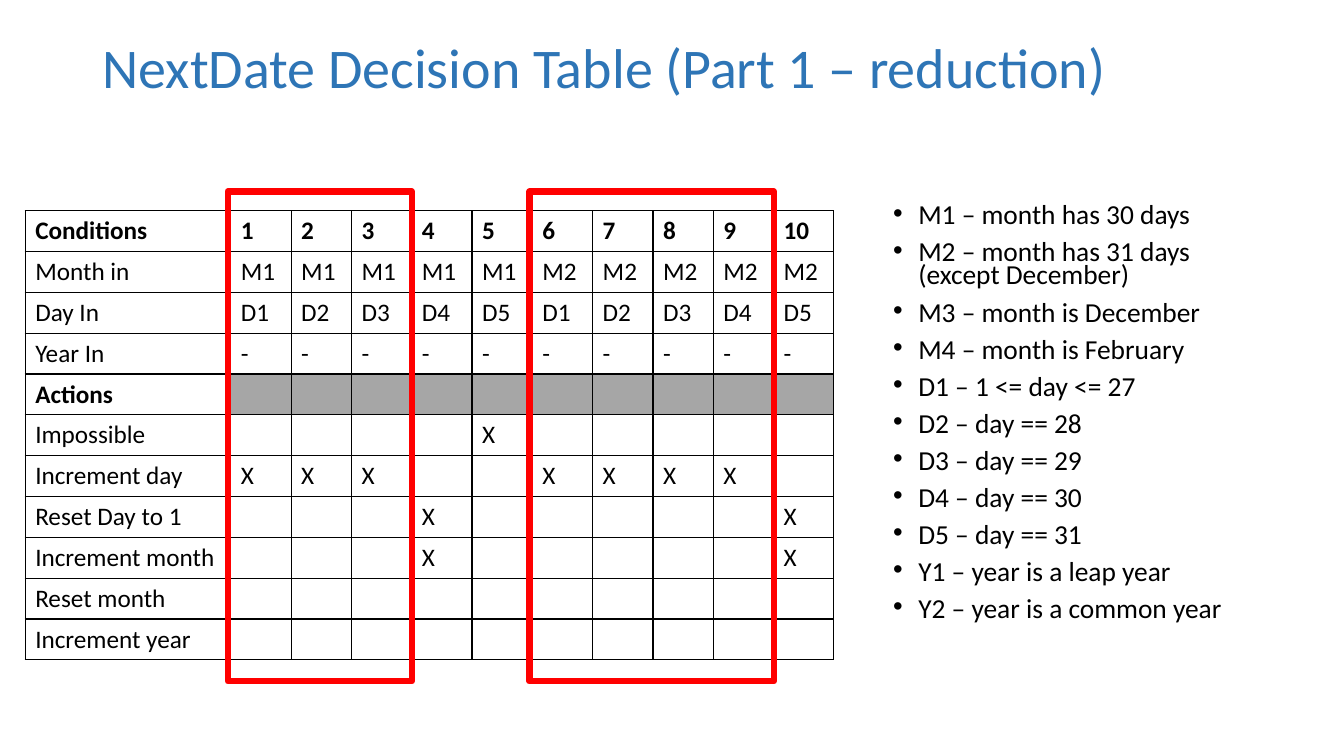
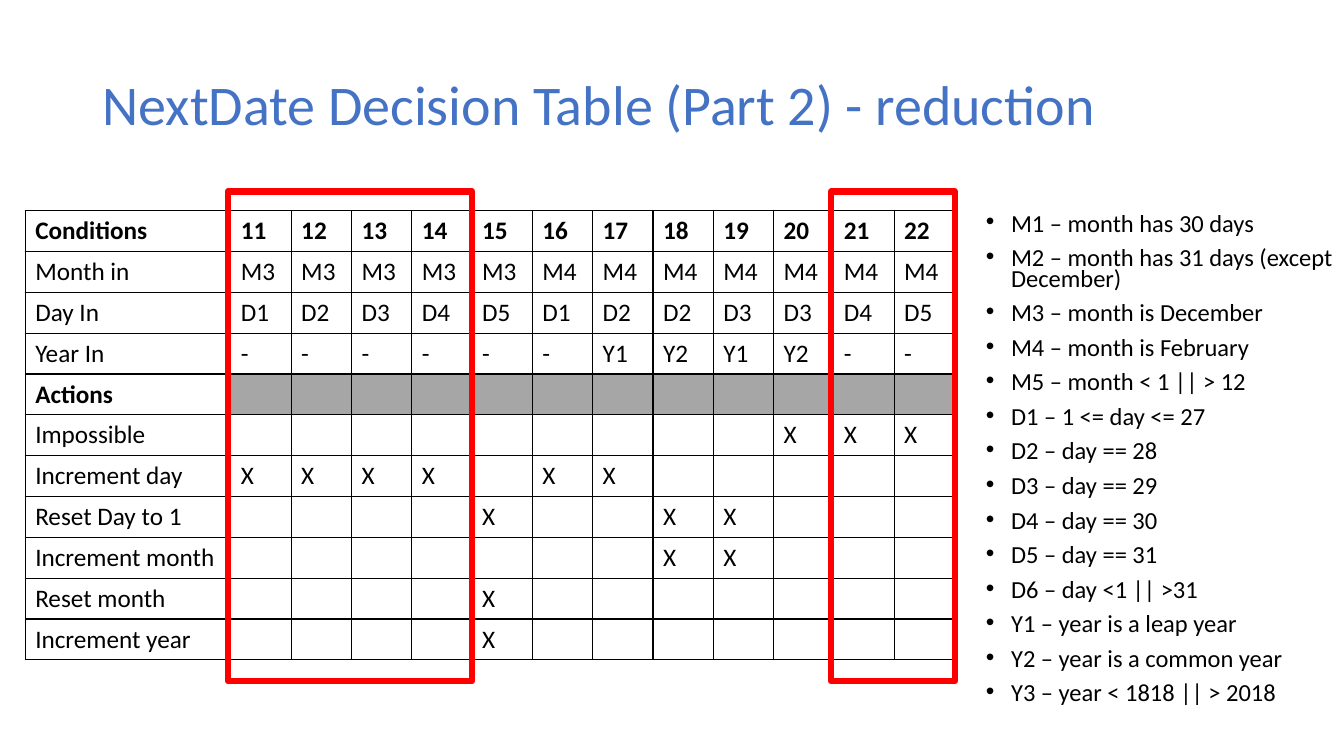
from lxml.etree import SubElement
from pptx import Presentation
from pptx.dml.color import RGBColor
from pptx.enum.shapes import MSO_SHAPE as SHAPE
from pptx.enum.text import MSO_ANCHOR as ANCHOR
from pptx.oxml.ns import qn
from pptx.util import Inches, Pt

BLACK, GREY, RED = "000000", "A6A6A6", "FF0000"
FONT = "Calibri"
LABEL_W, COL_W, ROW_H = 2.04, 7.18 / 12, 4.46 / 11
TABLE_X, TABLE_Y = 0.25, 2.09
ACTIONS = ["Impossible", "Increment day", "Reset Day to 1",
           "Increment month", "Reset month", "Increment year"]
MONTHS = ["M1 – month has 30 days", "M2 – month has 31 days (except December)",
          "M3 – month is December", "M4 – month is February"]
DAYS = ["D1 – 1 <= day <= 27", "D2 – day == 28", "D3 – day == 29",
        "D4 – day == 30", "D5 – day == 31"]
YEARS = ["Y1 – year is a leap year", "Y2 – year is a common year"]

# Marks list the rule numbers of each action; merges give first and last rule.
SLIDES = [
    {
        "title": "NextDate Decision Table (Part 1 – reduction)",
        "title_y": 0.17, "title_color": "2E75B6",
        "rules": range(1, 11),
        "months": ["M1"] * 5 + ["M2"] * 5,
        "days": "D1 D2 D3 D4 D5 D1 D2 D3 D4 D5".split(),
        "years": ["-"] * 10,
        "marks": {"Impossible": [5], "Increment day": [1, 2, 3, 6, 7, 8, 9],
                  "Reset Day to 1": [4, 10], "Increment month": [4, 10]},
        "merges": [(1, 3), (6, 9)],
        "legend": MONTHS + DAYS + YEARS,
        "legend_box": (8.76, 2, 3.66, 4.76), "legend_size": 19.6,
    },
    {
        "title": "NextDate Decision Table (Part 2) - reduction",
        "title_y": 0.54, "title_color": "4472C4",
        "rules": range(11, 23),
        "months": ["M3"] * 5 + ["M4"] * 7,
        "days": "D1 D2 D3 D4 D5 D1 D2 D2 D3 D3 D4 D5".split(),
        "years": "- - - - - - Y1 Y2 Y1 Y2 - -".split(),
        "marks": {"Impossible": [20, 21, 22],
                  "Increment day": [11, 12, 13, 14, 16, 17],
                  "Reset Day to 1": [15, 18, 19], "Increment month": [18, 19],
                  "Reset month": [15], "Increment year": [15]},
        "merges": [(11, 14), (21, 22)],
        "legend": [*MONTHS, "M5 – month < 1 || > 12", *DAYS,
                   "D6 – day <1 || >31", *YEARS, "Y3 – year < 1818 || > 2018"],
        "legend_box": (9.68, 2.09, 3.66, 5.24), "legend_size": 17.5,
    },
]


def rgb(color):
    return RGBColor.from_string(color)


def write(p, text, size, color=BLACK, bold=False):
    r = p.add_run()
    r.text = text
    for name, value in {"name": FONT, "size": Pt(size), "bold": bold}.items():
        setattr(r.font, name, value)
    r.font.color.rgb = rgb(color)


def add_text_frame(s, box):
    tf = s.shapes.add_textbox(*map(Inches, box)).text_frame
    tf.word_wrap = True
    return tf


def add_title(s, text, box, color):
    tf = add_text_frame(s, box)
    tf.vertical_anchor = ANCHOR.MIDDLE
    p = tf.paragraphs[0]
    p.line_spacing = 0.9
    write(p, text, 40, color)


def add_legend(s, items, box, size):
    tf = add_text_frame(s, box)
    for i, item in enumerate(items):
        p = tf.add_paragraph() if i else tf.paragraphs[0]
        p.line_spacing, p.space_before = 0.7, Pt(10)
        pPr = p._p.get_or_add_pPr()
        pPr.set("marL", str(Inches(0.25)))
        pPr.set("indent", str(-Inches(0.25)))
        SubElement(pPr, qn("a:buFont"), typeface="Arial")
        SubElement(pPr, qn("a:buChar"), char="•")
        write(p, item, size)


def add_borders(cell):
    tcPr = cell._tc.get_or_add_tcPr()
    for side in ("lnL", "lnR", "lnT", "lnB"):
        ln = SubElement(tcPr, qn(f"a:{side}"), w=str(Pt(1)))
        SubElement(SubElement(ln, qn("a:solidFill")), qn("a:srgbClr"), val=BLACK)


def decision_rows(d):
    """Return the table text, label first, one list per row."""
    rules = d["rules"]
    rows = [["Conditions", *map(str, rules)], ["Month in", *d["months"]],
            ["Day In", *d["days"]], ["Year In", *d["years"]],
            ["Actions"] + [""] * len(rules)]
    for action in ACTIONS:
        marked = d["marks"].get(action, [])
        rows.append([action] + ["X" if n in marked else "" for n in rules])
    return rows


def add_decision_table(s, rows, x, y):
    n_rules = len(rows[0]) - 1
    width, height = LABEL_W + n_rules * COL_W, len(rows) * ROW_H
    table = s.shapes.add_table(len(rows), n_rules + 1,
                               *map(Inches, (x, y, width, height))).table
    table.first_row = table.horz_banding = False
    for i, column in enumerate(table.columns):
        column.width = Inches(COL_W if i else LABEL_W)
    for row, texts in zip(table.rows, rows):
        row.height = Inches(ROW_H)
        for i, (cell, text) in enumerate(zip(row.cells, texts)):
            add_borders(cell)
            if i and texts[0] == "Actions":
                cell.fill.solid()
                cell.fill.fore_color.rgb = rgb(GREY)
            else:
                cell.fill.background()
            if text:
                write(cell.text_frame.paragraphs[0], text, 18,
                      bold=texts[0] in ("Conditions", "Actions"))


def add_merge_frame(s, start, count, x, y):
    """Frame count rule columns of the table at x, y, from column start."""
    left = x + LABEL_W + start * COL_W - 0.03
    box = (left, y - 0.19, count * COL_W + 0.03, 4.86)
    sp = s.shapes.add_shape(SHAPE.RECTANGLE, *map(Inches, box))
    sp.shadow.inherit = False
    sp.fill.background()
    sp.line.color.rgb = rgb(RED)
    sp.line.width = Pt(4.5)


def add_decision_slide(prs, d):
    s = prs.slides.add_slide(prs.slide_layouts[6])
    add_title(s, d["title"], (0.92, d["title_y"], 11.5, 1.06), d["title_color"])
    add_decision_table(s, decision_rows(d), TABLE_X, TABLE_Y)
    add_legend(s, d["legend"], d["legend_box"], d["legend_size"])
    for first, last in d["merges"]:
        add_merge_frame(s, first - d["rules"][0], last - first + 1,
                        TABLE_X, TABLE_Y)


def main():
    prs = Presentation()
    prs.slide_width, prs.slide_height = Inches(13.33), Inches(7.5)
    for d in SLIDES:
        add_decision_slide(prs, d)
    prs.save("out.pptx")


if __name__ == "__main__":
    main()
